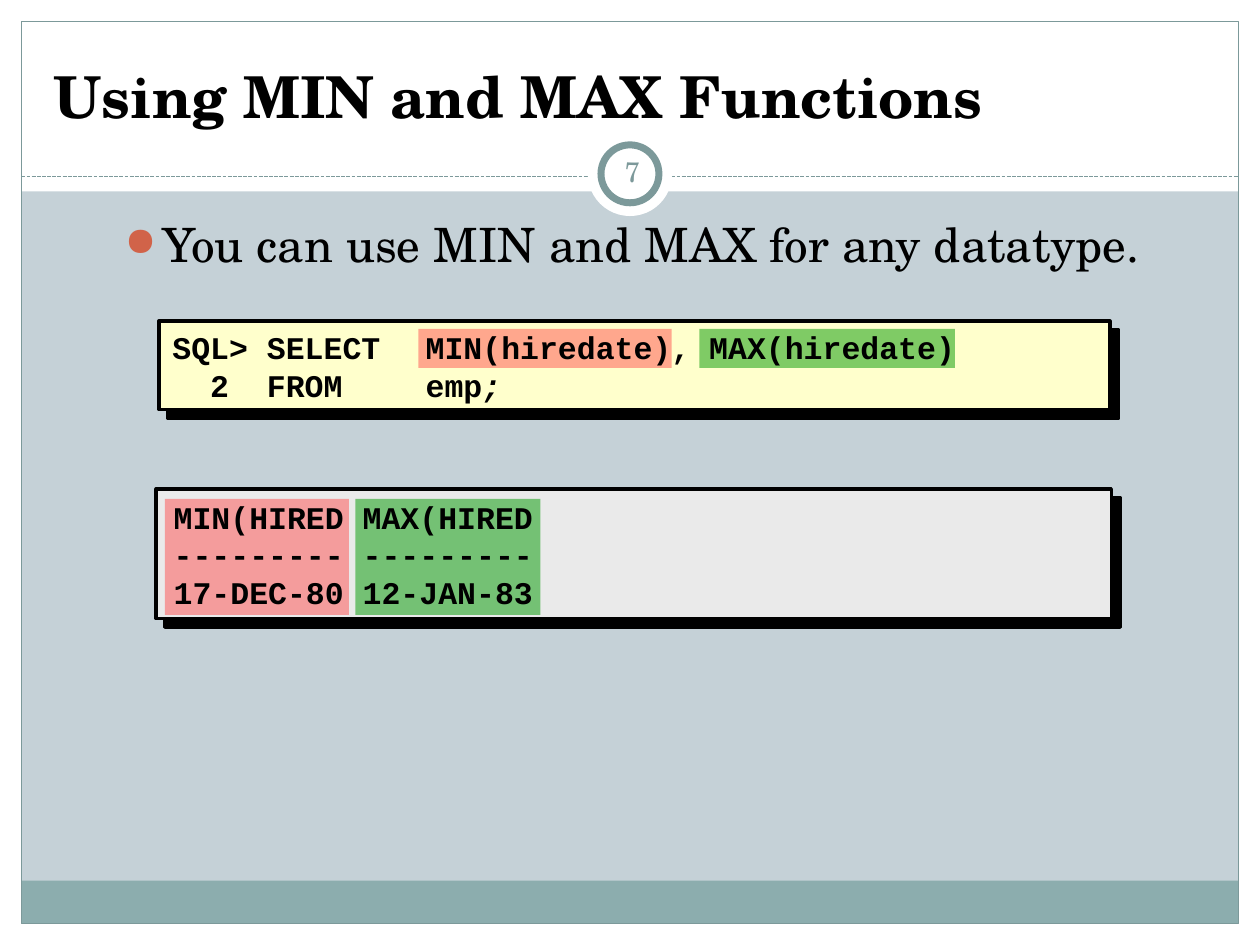
from lxml.etree import SubElement
from pptx import Presentation
from pptx.dml.color import RGBColor
from pptx.enum.dml import MSO_LINE
from pptx.enum.shapes import MSO_CONNECTOR, MSO_SHAPE
from pptx.enum.text import MSO_ANCHOR, PP_ALIGN
from pptx.oxml.ns import qn
from pptx.util import Inches, Pt

WIDTH, HEIGHT = 10, 7.5
MARGIN = 0.17
HEADER, RULE = 1.52, 1.4
SERIF, MONO = "TeX Gyre Schola", "Courier New"
WHITE, BLACK, TEAL, RED, GREEN = "FFFFFF", "000000", "7C999A", "FF5050", "009900"

# Content: each paragraph is a list of (text, italic) runs
TITLE = [[("Using MIN and MAX Functions", False)]]
BULLET = [[("You can use MIN and MAX for any datatype.", False)]]
QUERY = [[("SQL> SELECT\tMIN(hiredate), MAX(hiredate)", False)],
         [("  2  FROM\temp", False), (";", True)]]
RESULT = [[(line, False)] for line in ("MIN(HIRED MAX(HIRED",
                                       "--------- ---------",
                                       "17-DEC-80 12-JAN-83")]
NUMBER = [[("7", False)]]

# left, top, width, height, fill
FRAME_BANDS = [
    (0, HEIGHT - MARGIN, WIDTH, MARGIN, WHITE),
    (0, 0, WIDTH, HEADER, WHITE),
    (0, 0, MARGIN, HEIGHT, WHITE),
    (WIDTH - MARGIN, 0, MARGIN, HEIGHT, WHITE),
    (MARGIN, 6.99, WIDTH - 2 * MARGIN, 0.34, "8CADAE"),
]
PANELS = [(1.26, 2.55, 7.55, 0.7, "FFFFCC"), (1.24, 3.88, 7.58, 1.03, "EAEAEA")]
HIGHLIGHTS = [
    (3.32, 2.61, 2.01, 0.31, RED), (1.31, 3.96, 1.46, 0.92, RED),
    (5.55, 2.61, 2.03, 0.31, GREEN), (2.82, 3.96, 1.47, 0.92, GREEN),
]


def color(value):
    return RGBColor.from_string(value)


def add_box(slide, box, fill=None, line=None, weight=0.75, kind=MSO_SHAPE.RECTANGLE):
    shape = slide.shapes.add_shape(kind, *map(Inches, box))
    shape.shadow.inherit = False
    if fill:
        shape.fill.solid()
        shape.fill.fore_color.rgb = color(fill)
    else:
        shape.fill.background()
    if line:
        shape.line.color.rgb = color(line)
        shape.line.width = Pt(weight)
    else:
        shape.line.fill.background()
    return shape


def add_hard_shadow(shape):
    effects = shape._element.spPr.find(qn("a:effectLst"))
    shadow = SubElement(effects, qn("a:outerShdw"), blurRad="0", dist=str(Pt(7.1)),
                        dir="2700000", algn="ctr", rotWithShape="0")
    SubElement(shadow, qn("a:srgbClr"), val=BLACK)


def make_translucent(shape, percent):
    tint = shape._element.spPr.find(qn("a:solidFill")).find(qn("a:srgbClr"))
    SubElement(tint, qn("a:alpha"), val=str(percent * 1000))


def add_bullet(paragraph, tint):
    properties = paragraph._p.get_or_add_pPr()
    properties.set("marL", str(Inches(0.3)))
    properties.set("indent", str(-Inches(0.3)))
    SubElement(SubElement(properties, qn("a:buClr")), qn("a:srgbClr"), val=tint)
    SubElement(properties, qn("a:buSzPct"), val="85000")
    SubElement(properties, qn("a:buChar"), char="●")


def add_text(slide, box, paragraphs, size, font=SERIF, tint=BLACK, bold=False,
             anchor=MSO_ANCHOR.TOP, align=PP_ALIGN.LEFT, side=0.1, tabs=(), bullet=None):
    frame = slide.shapes.add_textbox(*map(Inches, box)).text_frame
    frame.word_wrap = True
    frame.vertical_anchor = anchor
    frame.margin_left = frame.margin_right = Inches(side)
    frame.margin_top = frame.margin_bottom = Inches(0.05)
    for index, runs in enumerate(paragraphs):
        paragraph = frame.add_paragraph() if index else frame.paragraphs[0]
        paragraph.alignment = align
        if bullet:
            add_bullet(paragraph, bullet)
        if tabs:
            stops = SubElement(paragraph._p.get_or_add_pPr(), qn("a:tabLst"))
            for stop in tabs:
                SubElement(stops, qn("a:tab"), pos=str(Inches(stop)), algn="l")
        for text, italic in runs:
            run = paragraph.add_run()
            run.text = text
            run.font.name, run.font.size = font, Pt(size)
            run.font.bold, run.font.italic = bold, italic
            run.font.color.rgb = color(tint)


def add_circle(slide, diameter, **style):
    box = ((WIDTH - diameter) / 2, 1.38 - diameter / 2, diameter, diameter)
    add_box(slide, box, fill=WHITE, kind=MSO_SHAPE.OVAL, **style)


def main():
    presentation = Presentation()
    presentation.slide_width, presentation.slide_height = Inches(WIDTH), Inches(HEIGHT)
    slide = presentation.slides.add_slide(presentation.slide_layouts[6])
    slide.background.fill.solid()
    slide.background.fill.fore_color.rgb = color("C5D1D7")

    # Frame, header rule and number badge
    for *box, fill in FRAME_BANDS:
        add_box(slide, box, fill)
    add_box(slide, (MARGIN, MARGIN, WIDTH - 2 * MARGIN, HEIGHT - 2 * MARGIN), line=TEAL)
    rule = slide.shapes.add_connector(MSO_CONNECTOR.STRAIGHT, Inches(MARGIN), Inches(RULE),
                                      Inches(WIDTH - MARGIN), Inches(RULE))
    rule.line.color.rgb = color(TEAL)
    rule.line.width = Pt(0.75)
    rule.line.dash_style = MSO_LINE.SQUARE_DOT
    SubElement(rule._element.spPr, qn("a:effectLst"))
    add_circle(slide, 0.67)
    add_circle(slide, 0.46, line=TEAL, weight=4)

    # Code panels and column highlights
    for *box, fill in PANELS:
        add_hard_shadow(add_box(slide, box, fill, line=BLACK, weight=2))
    for *box, fill in HIGHLIGHTS:
        make_translucent(add_box(slide, box, fill), 50)

    # Text
    add_text(slide, (0.33, 0.25, 9.33, 0.83), TITLE, 33, bold=True, anchor=MSO_ANCHOR.BOTTOM)
    add_text(slide, (0.89, 1.66, 8.36, 0.55), BULLET, 27, bullet="D16349")
    add_text(slide, (1.27, 2.54, 7.58, 0.73), QUERY, 18, font=MONO, bold=True,
             anchor=MSO_ANCHOR.MIDDLE, tabs=(0.75, 2.01))
    add_text(slide, (1.28, 3.9, 7.55, 1), RESULT, 18, font=MONO, bold=True,
             tabs=(2, 3.38, 4.62))
    add_text(slide, (4.77, 1.12, 0.5, 0.48), NUMBER, 16, tint=TEAL, side=0.05,
             anchor=MSO_ANCHOR.MIDDLE, align=PP_ALIGN.CENTER)

    presentation.save("out.pptx")


if __name__ == "__main__":
    main()
